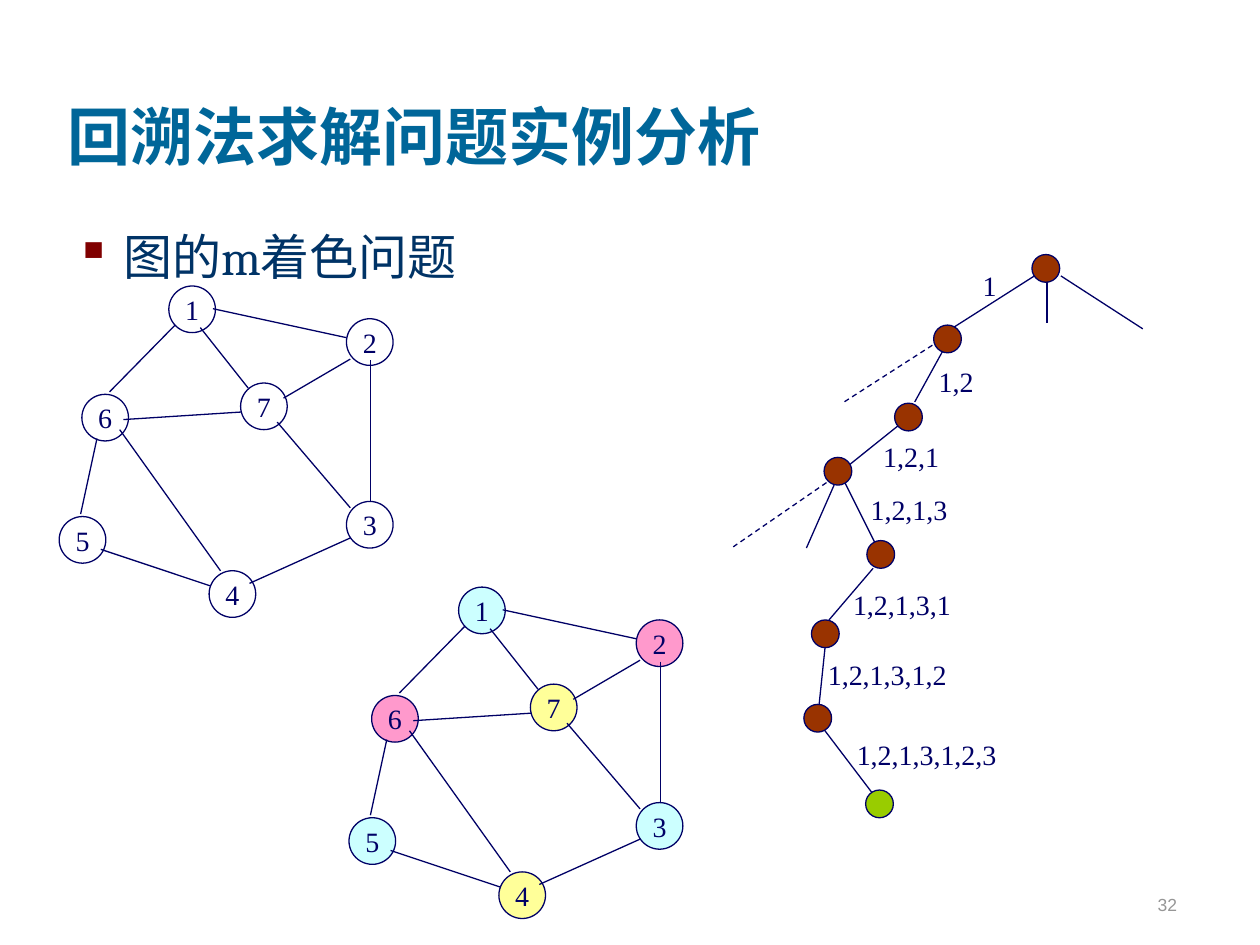
from lxml import etree
from pptx import Presentation
from pptx import util as u
from pptx.dml import color
from pptx.enum import dml, shapes, text
from pptx.oxml import ns

COLORS = {
    "title": "006699", "body": "003366", "bullet": "800000", "page": "969696",
    "ink": "000066", "cyan": "CCFFFF", "pink": "FF99CC", "yellow": "FFFF99",
    "brown": "993300", "green": "99CC00",
}
NODE_SIZE, TREE_NODE_SIZE = 0.37, 0.22

prs = Presentation()
prs.slide_width, prs.slide_height = u.Inches(10), u.Inches(7.5)
slide = prs.slides.add_slide(prs.slide_layouts[6])


def write(shape, words, size, font, ink, align=text.PP_ALIGN.LEFT,
          anchor=text.MSO_ANCHOR.TOP, inset=None):
    """Put one formatted paragraph into a shape and return the paragraph."""
    frame = shape.text_frame
    frame.text = words
    frame.word_wrap = True
    frame.vertical_anchor = anchor
    if inset is not None:
        frame.margin_left = frame.margin_right = u.Inches(inset)
        frame.margin_top = frame.margin_bottom = u.Inches(inset)
    paragraph = frame.paragraphs[0]
    paragraph.alignment = align
    run_font = paragraph.runs[0].font
    run_font.size, run_font.name = u.Pt(size), font
    run_font.color.rgb = color.RGBColor.from_string(COLORS[ink])
    return paragraph


def outline(part):
    """Give a node or an edge the thin dark line without a shadow."""
    part.line.color.rgb = color.RGBColor.from_string(COLORS["ink"])
    part.line.width = u.Pt(0.75)
    if part.shape_type == shapes.MSO_SHAPE_TYPE.AUTO_SHAPE:
        part.shadow.inherit = False
    else:
        etree.SubElement(part._element.spPr, ns.qn("a:effectLst"))


# Title
title = slide.shapes.add_textbox(u.Inches(0.44), u.Inches(0.17), u.Inches(8.5), u.Inches(1.25))
heading = write(title, "回溯法求解问题实例分析", 36, "Cambria", "title",
                anchor=text.MSO_ANCHOR.BOTTOM)
heading.runs[0].font.bold = True

# Bulleted topic
topic = slide.shapes.add_textbox(u.Inches(0.5), u.Inches(1.75), u.Inches(8.94), u.Inches(4.88))
topic_line = write(topic, "图的m着色问题", 28, "Cambria", "body")
topic_line.space_before = u.Pt(7)
props = topic_line._p.get_or_add_pPr()
props.set("marL", str(u.Inches(0.38)))
props.set("indent", str(-u.Inches(0.38)))
bullet_color = etree.SubElement(props, ns.qn("a:buClr"))
etree.SubElement(bullet_color, ns.qn("a:srgbClr"), val=COLORS["bullet"])
etree.SubElement(props, ns.qn("a:buChar"), char="▪")

# Page number
page = slide.shapes.add_textbox(u.Inches(7.36), u.Inches(6.81), u.Inches(2.08), u.Inches(0.5))
write(page, "32", 10, "Arial", "page", text.PP_ALIGN.RIGHT, text.MSO_ANCHOR.BOTTOM)

# The same graph twice: uncoloured, then coloured
graph_nodes = {
    "1": (1.34, 2.27, "cyan"), "2": (2.75, 2.53, "pink"), "3": (2.75, 3.98, "cyan"),
    "4": (1.66, 4.53, "yellow"), "5": (0.47, 4.1, "cyan"), "6": (0.65, 3.13, "pink"),
    "7": (1.91, 3.04, "yellow"),
}
graph_edges = [
    (1.69, 2.45, 2.75, 2.68), (2.94, 2.86, 2.94, 3.98), (2.78, 4.27, 1.98, 4.63),
    (1.67, 4.65, 0.8, 4.36), (0.64, 4.08, 0.77, 3.48), (0.87, 3.11, 1.39, 2.58),
    (1.59, 2.6, 1.97, 3.08), (2.25, 3.16, 2.78, 2.85), (2.2, 3.35, 2.78, 4.03),
    (0.95, 3.41, 1.75, 4.53), (0.98, 3.33, 1.92, 3.27),
]
for dx, dy, colored in [(0, 0, False), (2.3, 2.39, True)]:
    for number, (x, y, hue) in graph_nodes.items():
        node = slide.shapes.add_shape(shapes.MSO_SHAPE.OVAL, u.Inches(x + dx), u.Inches(y + dy),
                                      u.Inches(NODE_SIZE), u.Inches(NODE_SIZE))
        if colored:
            node.fill.solid()
            node.fill.fore_color.rgb = color.RGBColor.from_string(COLORS[hue])
        else:
            node.fill.background()
        outline(node)
        write(node, number, 16, "Times New Roman", "ink", text.PP_ALIGN.CENTER,
              text.MSO_ANCHOR.MIDDLE, 0)
    for x1, y1, x2, y2 in graph_edges:
        edge = slide.shapes.add_connector(shapes.MSO_CONNECTOR.STRAIGHT,
                                          u.Inches(x1 + dx), u.Inches(y1 + dy),
                                          u.Inches(x2 + dx), u.Inches(y2 + dy))
        outline(edge)

# Search tree: branches, dashed where the branch is pruned
solid_branches = [
    (8.21, 2.19, 7.55, 2.61), (8.31, 2.24, 8.31, 2.56), (8.42, 2.19, 9.07, 2.61),
    (7.48, 2.79, 7.26, 3.19), (7.14, 3.37, 6.74, 3.69), (6.62, 3.85, 6.4, 4.35),
    (6.7, 3.82, 6.95, 4.32), (6.93, 4.51, 6.58, 4.92), (6.55, 5.12, 6.5, 5.6),
    (6.54, 5.79, 6.92, 6.29),
]
pruned_branches = [(7.4, 2.74, 6.7, 3.19), (6.56, 3.83, 5.82, 4.34)]
for x1, y1, x2, y2 in solid_branches + pruned_branches:
    branch = slide.shapes.add_connector(shapes.MSO_CONNECTOR.STRAIGHT, u.Inches(x1), u.Inches(y1),
                                        u.Inches(x2), u.Inches(y2))
    outline(branch)
    if (x1, y1, x2, y2) in pruned_branches:
        branch.line.dash_style = dml.MSO_LINE.DASH

# Search tree: states from the root down to the solution
tree_nodes = [
    (8.19, 2.02, "brown"), (7.41, 2.58, "brown"), (7.1, 3.2, "brown"), (6.54, 3.63, "brown"),
    (6.88, 4.29, "brown"), (6.44, 4.92, "brown"), (6.38, 5.59, "brown"), (6.87, 6.27, "green"),
]
for x, y, hue in tree_nodes:
    state = slide.shapes.add_shape(shapes.MSO_SHAPE.OVAL, u.Inches(x), u.Inches(y),
                                   u.Inches(TREE_NODE_SIZE), u.Inches(TREE_NODE_SIZE))
    state.fill.solid()
    state.fill.fore_color.rgb = color.RGBColor.from_string(COLORS[hue])
    outline(state)

# Search tree: each label adds one more assigned colour
assigned = ["1", "2", "1", "3", "1", "2", "3"]
label_boxes = [
    (7.54, 2.13, 0.37), (7.45, 2.89, 0.62), (7.01, 3.49, 0.62), (6.91, 3.91, 0.73),
    (6.77, 4.66, 1.12), (6.57, 5.22, 1.12), (6.8, 5.85, 1.3),
]
for depth, (x, y, width) in enumerate(label_boxes, start=1):
    label = slide.shapes.add_textbox(u.Inches(x), u.Inches(y), u.Inches(width), u.Inches(0.27))
    align = text.PP_ALIGN.RIGHT if depth == 1 else text.PP_ALIGN.LEFT
    write(label, ",".join(assigned[:depth]), 16, "Times New Roman", "ink", align, inset=0)

prs.save("out.pptx")
